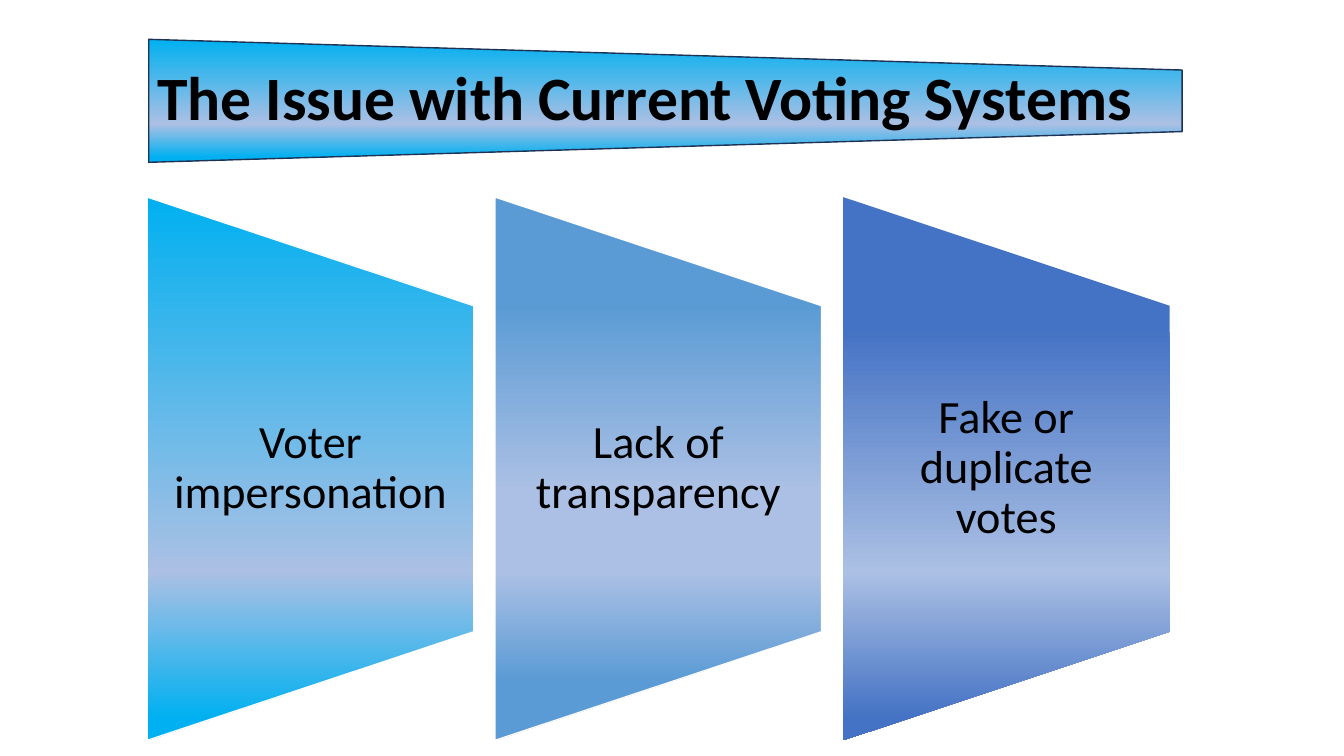
from pptx import Presentation
from pptx.dml.color import RGBColor
from pptx.enum.shapes import MSO_SHAPE as Preset
from pptx.enum.text import MSO_ANCHOR as Anchor, MSO_AUTO_SIZE as AutoSize, PP_ALIGN as Align
from pptx.oxml import parse_xml
from pptx.oxml.ns import nsdecls
from pptx.util import Inches, Pt

SKY = RGBColor(0x00, 0xB0, 0xF0)
PALE = RGBColor(0xAB, 0xC0, 0xE4)
STEEL = RGBColor(0x5B, 0x9B, 0xD5)
ROYAL = RGBColor(0x44, 0x72, 0xC4)
NAVY = RGBColor(0x1E, 0x32, 0x56)
WHITE = RGBColor(0xFF, 0xFF, 0xFF)
BLACK = RGBColor(0x00, 0x00, 0x00)

HEADING = "The Issue with Current Voting Systems"
SKY_BLEND = [(0, SKY), (69, PALE), (96, SKY)]
ISSUES = [
    ("Voter impersonation", SKY_BLEND, WHITE),
    ("Lack of transparency", [(20, STEEL), (54, PALE), (69, PALE), (89, STEEL)], WHITE),
    ("Fake or duplicate votes", [(24, ROYAL), (69, PALE), (96, ROYAL)], None),
]

LEFT, PANEL_STEP = 1.46, 3.45
PANEL_WIDTH, PANEL_HEIGHT, PANEL_MIDDLE = 3.24, 5.39, 4.65
BANNER_CENTRE, BANNER_WIDTH, BANNER_HEIGHT = (6.6, 1.0), 10.25, 1.22

HEADING_FONT = {"name": "Calibri", "size": Pt(44), "bold": True}
ISSUE_FONT = {"name": "Calibri", "size": Pt(33), "bold": False}
HEADING_FRAME = {"word_wrap": True, "auto_size": AutoSize.NONE, "vertical_anchor": Anchor.MIDDLE}
ISSUE_FRAME = HEADING_FRAME | {
    "margin_left": Inches(0.23), "margin_right": Inches(0.23),
    "margin_top": 0, "margin_bottom": 0,
}


def apply(target, values):
    """Set every attribute in values on the target."""
    for attribute, value in values.items():
        setattr(target, attribute, value)


def write(frame, words, frame_format, font_format, alignment):
    """Put one formatted paragraph into a text frame."""
    apply(frame, frame_format)
    frame.text = words
    paragraph = frame.paragraphs[0]
    apply(paragraph, {"alignment": alignment, "line_spacing": 0.9})
    font = paragraph.runs[0].font
    apply(font, font_format)
    font.color.rgb = BLACK


def add_turned(shapes, preset, centre, size, rotation, blend, outline):
    """Add a rotated preset whose gradient stays vertical on the slide."""
    (x, y), (width, height) = centre, size
    turned = shapes.add_shape(preset, Inches(x - width / 2), Inches(y - height / 2),
                              Inches(width), Inches(height))
    turned.rotation = rotation
    turned.shadow.inherit = False
    turned.fill.gradient()
    stops = "".join(f'<a:gs pos="{place * 1000}"><a:srgbClr val="{colour}"/></a:gs>'
                    for place, colour in blend)
    gradient = parse_xml(f'<a:gradFill {nsdecls("a")} rotWithShape="0"><a:gsLst>{stops}</a:gsLst>'
                         '<a:lin ang="5400000" scaled="0"/></a:gradFill>')
    properties = turned._element.spPr
    properties.replace(properties.find(gradient.tag), gradient)
    if outline is None:
        turned.line.fill.background()
    else:
        turned.line.color.rgb = outline
        turned.line.width = Pt(1)
    return turned


def main():
    """Build the slide on voting problems."""
    deck = Presentation()
    apply(deck, {"slide_width": Inches(13.33), "slide_height": Inches(7.5)})
    slide = deck.slides.add_slide(deck.slide_layouts[5])
    shapes = slide.shapes

    heading = shapes.title
    apply(heading, {"left": Inches(LEFT), "top": Inches(0.27),
                    "width": Inches(11.5), "height": Inches(1.45)})
    write(heading.text_frame, HEADING, HEADING_FRAME, HEADING_FONT, Align.LEFT)
    banner = add_turned(shapes, Preset.TRAPEZOID, BANNER_CENTRE,
                        (BANNER_HEIGHT, BANNER_WIDTH), 90, SKY_BLEND, NAVY)
    heading._element.addprevious(banner._element)

    for index, (issue, blend, outline) in enumerate(ISSUES):
        left = LEFT + index * PANEL_STEP
        add_turned(shapes, Preset.FLOWCHART_MANUAL_OPERATION,
                   (left + PANEL_WIDTH / 2, PANEL_MIDDLE),
                   (PANEL_HEIGHT, PANEL_WIDTH), 270, blend, outline)
        label = shapes.add_textbox(Inches(left), Inches(PANEL_MIDDLE - PANEL_WIDTH / 2),
                                   Inches(PANEL_WIDTH), Inches(PANEL_WIDTH))
        write(label.text_frame, issue, ISSUE_FRAME, ISSUE_FONT, Align.CENTER)

    deck.save("out.pptx")


if __name__ == "__main__":
    main()
